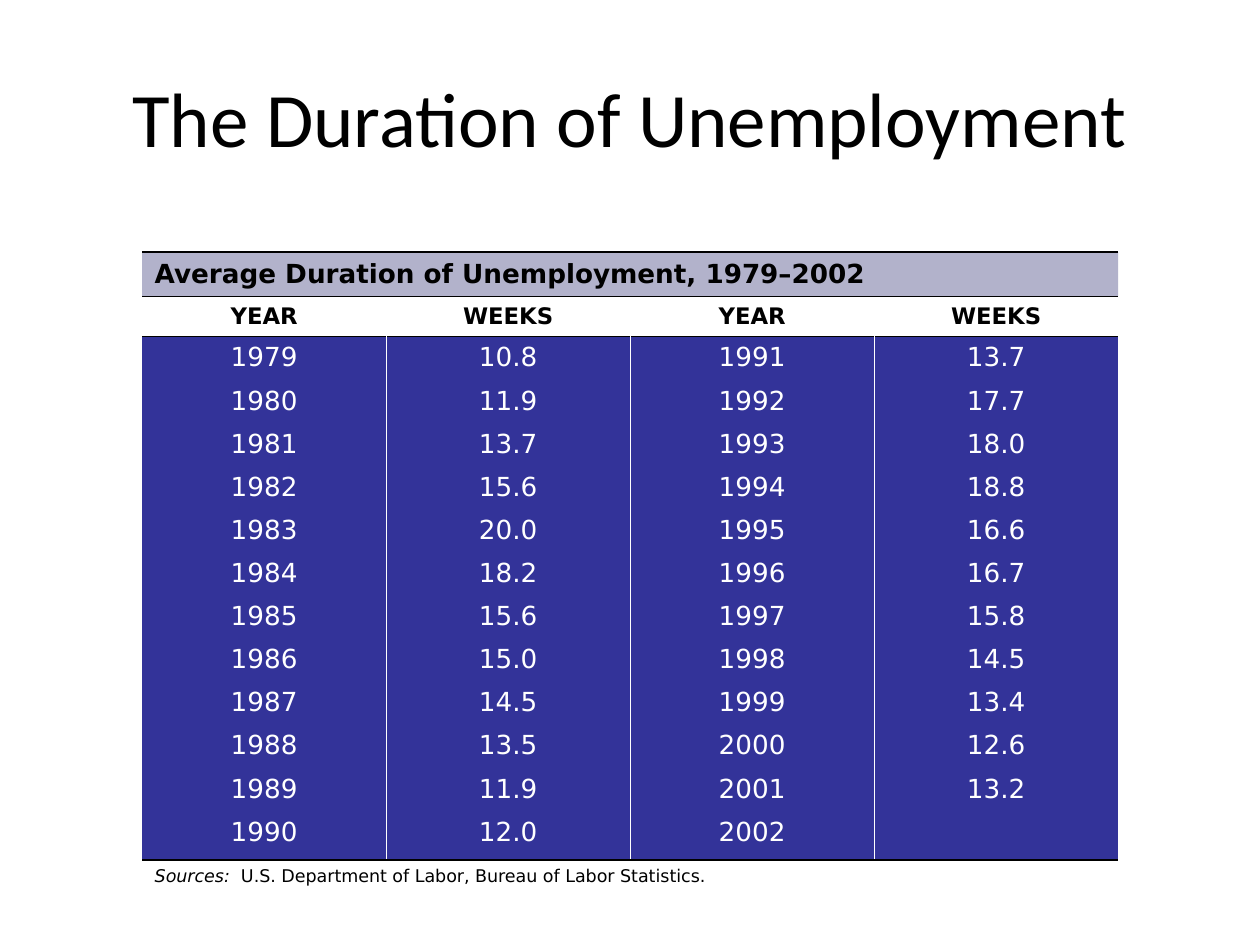
from lxml import etree
from pptx import Presentation
from pptx.dml.color import RGBColor
from pptx.enum.text import MSO_ANCHOR, PP_ALIGN
from pptx.oxml.ns import qn
from pptx.util import Pt

TITLE = "The Duration of Unemployment"
CAPTION = "Average Duration of Unemployment, 1979–2002"
HEADINGS = ("YEAR", "WEEKS", "YEAR", "WEEKS")
FIRST_YEAR = 1979
WEEKS = (
    "10.8", "11.9", "13.7", "15.6", "20.0", "18.2",
    "15.6", "15.0", "14.5", "13.5", "11.9", "12.0",
    "13.7", "17.7", "18.0", "18.8", "16.6", "16.7",
    "15.8", "14.5", "13.4", "12.6", "13.2", "",
)
SOURCE_LABEL = "Sources:"
SOURCE = "  U.S. Department of Labor, Bureau of Labor Statistics."

BLACK = RGBColor(0x00, 0x00, 0x00)
WHITE = RGBColor(0xFF, 0xFF, 0xFF)
SLATE = RGBColor(0x66, 0x66, 0x99)
INDIGO = RGBColor(0x33, 0x33, 0x99)
TITLE_FONT, TABLE_FONT = "Calibri", "DejaVu Sans"
LEFT, CENTER = PP_ALIGN.LEFT, PP_ALIGN.CENTER
TOP, MIDDLE = MSO_ANCHOR.TOP, MSO_ANCHOR.MIDDLE

TABLE_LEFT, TABLE_TOP, TABLE_WIDTH = 81.2, 144, 557.8
CAPTION_HEIGHT, HEADING_HEIGHT, DATA_HEIGHT = 25.2, 23, 21.6
LAST_DATA_HEIGHT, SOURCE_HEIGHT = 28.4, 16
THICK = (BLACK, 1.08)
THIN = (BLACK, 0.45)
DIVIDER = (WHITE, 0.45)


def write(paragraph, text, *, size, font=TABLE_FONT, color=BLACK, bold=False,
          italic=False, align=LEFT, before=0):
    paragraph.alignment = align
    paragraph.space_before = Pt(before)
    if not text:
        paragraph._p.get_or_add_endParaRPr().set("sz", str(size * 100))
        return
    run = paragraph.add_run()
    run.text = text
    run.font.size = Pt(size)
    run.font.name = font
    run.font.color.rgb = color
    run.font.bold = bold
    run.font.italic = italic


def style_cell(cell, fill=None, alpha=None, anchor=TOP, **borders):
    """Set the four borders (left, right, top, bottom), then the fill."""
    cell.vertical_anchor = anchor
    properties = cell._tc.get_or_add_tcPr()
    for tag, side in (("a:lnL", "left"), ("a:lnR", "right"),
                      ("a:lnT", "top"), ("a:lnB", "bottom")):
        line = etree.SubElement(properties, qn(tag))
        if side in borders:
            color, width = borders[side]
            line.set("w", str(int(Pt(width))))
            solid = etree.SubElement(line, qn("a:solidFill"))
            etree.SubElement(solid, qn("a:srgbClr")).set("val", str(color))
        else:
            etree.SubElement(line, qn("a:noFill"))
    if fill is None:
        cell.fill.background()
        return
    cell.fill.solid()
    cell.fill.fore_color.rgb = fill
    if alpha:
        color_element = properties.find(qn("a:solidFill")).find(qn("a:srgbClr"))
        etree.SubElement(color_element, qn("a:alpha")).set("val", str(alpha * 1000))


def add_title(slide):
    title = slide.shapes.title
    title.left, title.top, title.width, title.height = Pt(36), Pt(21.6), Pt(648), Pt(90)
    title.text_frame.vertical_anchor = MIDDLE
    write(title.text_frame.paragraphs[0], TITLE, size=44, font=TITLE_FONT, align=CENTER)


def add_duration_table(slide):
    half = len(WEEKS) // 2
    years = [str(FIRST_YEAR + i) for i in range(len(WEEKS))]
    data = list(zip(years[:half], WEEKS[:half], years[half:], WEEKS[half:]))
    heights = [CAPTION_HEIGHT, HEADING_HEIGHT, *[DATA_HEIGHT] * (half - 1),
               LAST_DATA_HEIGHT, SOURCE_HEIGHT]
    columns = len(HEADINGS)
    table = slide.shapes.add_table(
        len(heights), columns, Pt(TABLE_LEFT), Pt(TABLE_TOP),
        Pt(TABLE_WIDTH), Pt(sum(heights))).table
    table.first_row = table.horz_banding = False
    for row, height in zip(table.rows, heights):
        row.height = Pt(height)
    source_row = len(heights) - 1

    for column in range(columns):
        style_cell(table.cell(0, column), SLATE, 50, MIDDLE, top=THICK, bottom=THIN)
        style_cell(table.cell(source_row, column), top=THICK)
        heading = table.cell(1, column)
        style_cell(heading, WHITE, 50, MIDDLE, top=THIN, bottom=THIN)
        write(heading.text_frame.paragraphs[0], HEADINGS[column], size=13,
              bold=True, align=CENTER, before=3.3)

    for index, record in enumerate(data):
        for column, value in enumerate(record):
            borders = {}
            if column > 0:
                borders["left"] = DIVIDER
            if column < columns - 1:
                borders["right"] = DIVIDER
            if index == 0:
                borders["top"] = THIN
            if index == half - 1:
                borders["bottom"] = THICK
            cell = table.cell(index + 2, column)
            style_cell(cell, INDIGO, **borders)
            write(cell.text_frame.paragraphs[0], value, size=15, color=WHITE,
                  align=CENTER, before=3.7)

    for row in (0, source_row):
        table.cell(row, 0).merge(table.cell(row, columns - 1))
    write(table.cell(0, 0).text_frame.paragraphs[0], CAPTION, size=15, bold=True,
          before=3.7)
    source = table.cell(source_row, 0).text_frame.paragraphs[0]
    write(source, SOURCE_LABEL, size=10, italic=True, before=2.5)
    write(source, SOURCE, size=10, before=2.5)


def main():
    presentation = Presentation()
    presentation.slide_width, presentation.slide_height = Pt(720), Pt(540)
    slide = presentation.slides.add_slide(presentation.slide_layouts[5])
    add_title(slide)
    add_duration_table(slide)
    presentation.save("out.pptx")


if __name__ == "__main__":
    main()
